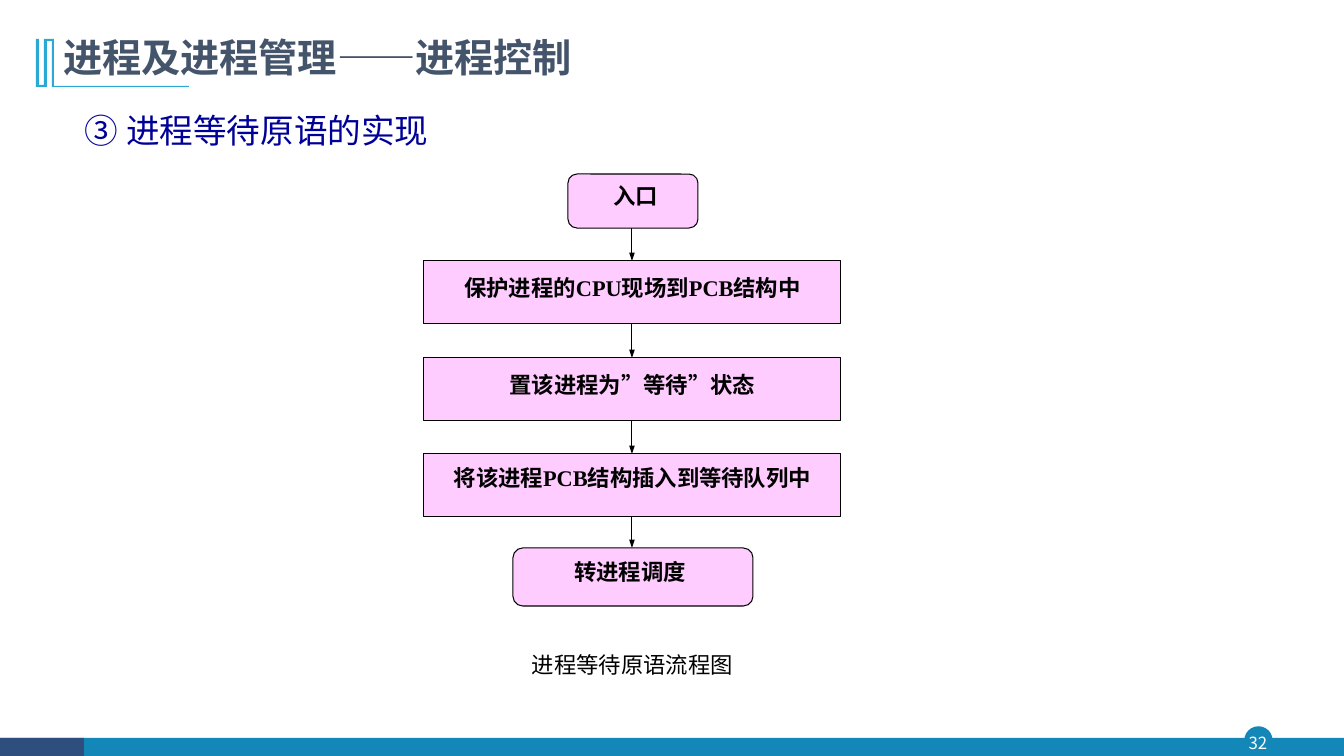
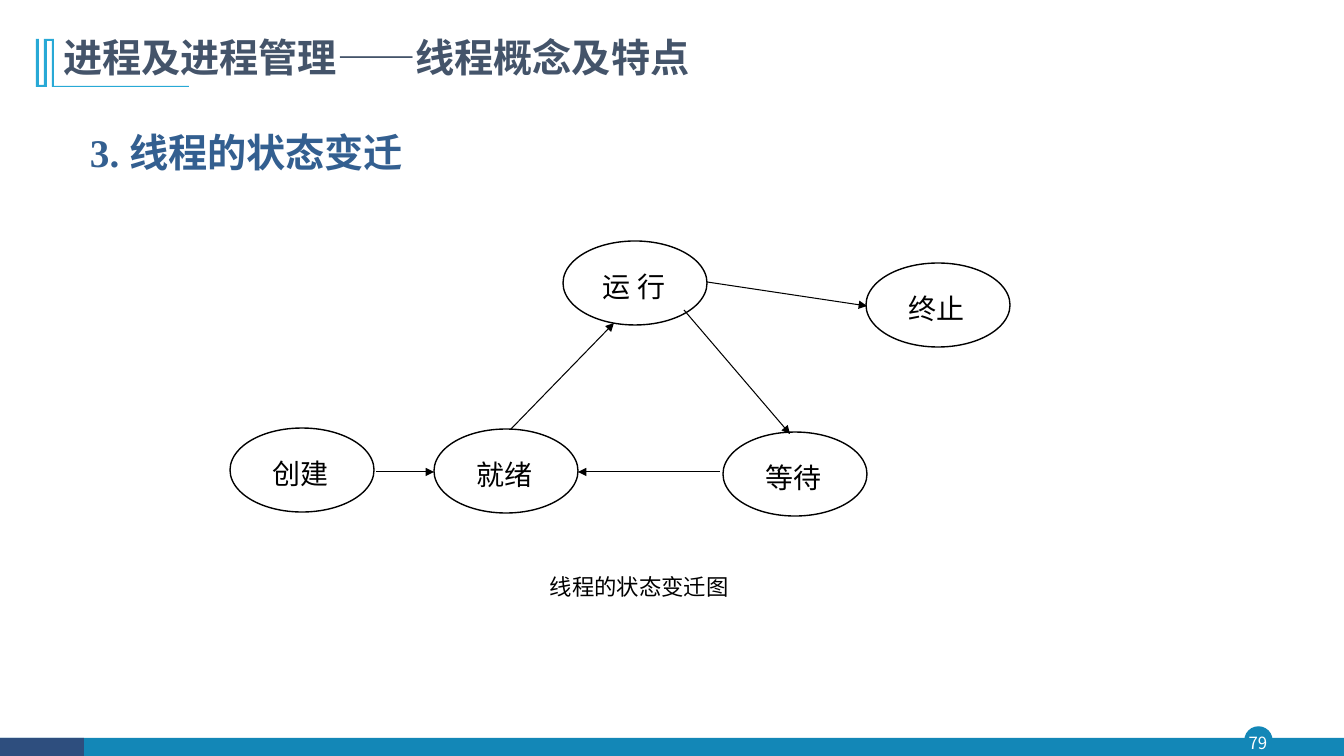
"""Build two lecture slides: a wait-primitive flowchart and a thread state diagram."""
from dataclasses import dataclass
from itertools import pairwise

from lxml.etree import SubElement
from pptx import Presentation
from pptx.dml.color import RGBColor
from pptx.enum.shapes import MSO_CONNECTOR as Connector, MSO_SHAPE as Preset
from pptx.enum.text import MSO_ANCHOR as Anchor, PP_ALIGN as Align
from pptx.oxml.ns import qn
from pptx.shapes.autoshape import Shape
from pptx.slide import Slide
from pptx.text.text import TextFrame
from pptx.util import Emu, Pt

PX = 914400 / 100.8
SLIDE_W, SLIDE_H = 1344, 756
SANS, SERIF = "Noto Sans CJK SC", "Times New Roman"

BLACK = RGBColor(0x00, 0x00, 0x00)
WHITE = RGBColor(0xFF, 0xFF, 0xFF)
TEAL = RGBColor(0x13, 0x87, 0xB7)
NAVY = RGBColor(0x2E, 0x4E, 0x7E)
SKY = RGBColor(0x28, 0xA9, 0xD6)
SLATE = RGBColor(0x44, 0x54, 0x6A)
PINK = RGBColor(0xFF, 0xCC, 0xFF)
DEEP_BLUE = RGBColor(0x00, 0x00, 0x99)
STEEL_BLUE = RGBColor(0x33, 0x5F, 0x90)

TITLE_MARK = [
    (54, 39), (54, 86), (189, 86), (189, 87), (52, 87), (52, 41), (47, 41), (47, 87),
    (36, 87), (36, 39), (39, 39), (39, 85), (44, 85), (44, 39),
]


@dataclass(frozen=True)
class Box:
    left: int
    top: int
    width: int
    height: int

    def emu(self) -> tuple[Emu, Emu, Emu, Emu]:
        return px(self.left), px(self.top), px(self.width), px(self.height)


@dataclass(frozen=True)
class Style:
    size: int
    color: RGBColor = BLACK
    bold: bool = False
    font: str = SERIF
    align: Align = Align.LEFT
    spacing: float = 1.0
    anchor: Anchor = Anchor.TOP


@dataclass(frozen=True)
class Step:
    text: str
    box: Box
    spacing: float
    preset: Preset = Preset.RECTANGLE
    text_top: int = 5
    shift: int = 0


@dataclass(frozen=True)
class State:
    text: str
    left: int
    top: int


@dataclass(frozen=True)
class Arrow:
    x1: int
    y1: int
    x2: int
    y2: int


FLOW_CENTER = 632
STEP_LEFT, STEP_W, STEP_H = 424, 417, 63
STEPS = [
    Step("入口", Box(568, 174, 130, 54), 1.0, Preset.ROUNDED_RECTANGLE, shift=3),
    Step("保护进程的CPU现场到PCB结构中", Box(STEP_LEFT, 261, STEP_W, STEP_H), 1.3),
    Step("置该进程为”等待”状态", Box(STEP_LEFT, 358, STEP_W, STEP_H), 1.3),
    Step("将该进程PCB结构插入到等待队列中", Box(STEP_LEFT, 454, STEP_W, STEP_H), 1.2),
    Step("转进程调度", Box(513, 548, 240, 58), 1.2, Preset.ROUNDED_RECTANGLE, 2, -3),
]

STATE_W, STATE_H = 144, 84
STATES = [
    State("运 行", 563, 241),
    State("终止", 866, 263),
    State("创建", 230, 428),
    State("就绪", 434, 429),
    State("等待", 723, 432),
]
TRANSITIONS = [
    Arrow(376, 472, 434, 472),
    Arrow(511, 429, 614, 323),
    Arrow(684, 310, 790, 434),
    Arrow(720, 472, 578, 472),
    Arrow(707, 282, 867, 306),
]

TITLE = Style(28, SLATE, True, SANS, spacing=0.9)
PAGE_NUMBER = Style(12, WHITE, font=SANS, align=Align.CENTER, anchor=Anchor.MIDDLE)
CAPTION = Style(16, align=Align.JUSTIFY, spacing=1.2)
STATE_LABEL = Style(20, align=Align.CENTER, anchor=Anchor.MIDDLE)


def px(length: int) -> Emu:
    return Emu(round(length * PX))


def write(frame: TextFrame, text: str, style: Style,
          margins: tuple[int, int, int, int] = (10, 5, 10, 5)) -> None:
    frame.word_wrap = True
    frame.vertical_anchor = style.anchor
    frame.margin_left, frame.margin_top, frame.margin_right, frame.margin_bottom = map(px, margins)
    frame.text = text
    para = frame.paragraphs[0]
    para.alignment = style.align
    para.line_spacing = style.spacing
    for span in para.runs:
        font = span.font
        font.size, font.bold, font.name = Pt(style.size), style.bold, style.font
        font.color.rgb = style.color
        SubElement(font._element, qn("a:ea")).set("typeface", SANS)


def add_text(page: Slide, box: Box, text: str, style: Style,
             margins: tuple[int, int, int, int] = (10, 5, 10, 5)) -> None:
    write(page.shapes.add_textbox(*box.emu()).text_frame, text, style, margins)


def paint(shape: Shape, fill: RGBColor, line: RGBColor | None = None, width: float = 1) -> None:
    shape.shadow.inherit = False
    shape.fill.solid()
    shape.fill.fore_color.rgb = fill
    if line is None:
        shape.line.fill.background()
    else:
        shape.line.color.rgb = line
        shape.line.width = Pt(width)


def add_preset(page: Slide, preset: Preset, box: Box, fill: RGBColor,
               line: RGBColor | None = None, width: float = 1) -> Shape:
    shape = page.shapes.add_shape(preset, *box.emu())
    paint(shape, fill, line, width)
    return shape


def add_arrow(page: Slide, arrow: Arrow, head_width: str = "med") -> None:
    ends = map(px, (arrow.x1, arrow.y1, arrow.x2, arrow.y2))
    connector = page.shapes.add_connector(Connector.STRAIGHT, *ends)
    connector.line.color.rgb = BLACK
    connector.line.width = Pt(0.75)
    properties = connector._element.spPr
    head = SubElement(properties.find(qn("a:ln")), qn("a:tailEnd"))
    for name, value in (("type", "triangle"), ("w", head_width), ("len", "med")):
        head.set(name, value)
    SubElement(properties, qn("a:effectLst"))


def add_page(deck: Presentation, title: str, number: int) -> Slide:
    page = deck.slides.add_slide(deck.slide_layouts[6])
    add_preset(page, Preset.OVAL, Box(1245, 727, 27, 27), TEAL, TEAL)
    add_preset(page, Preset.RECTANGLE, Box(0, 738, SLIDE_W, 18), TEAL)
    add_preset(page, Preset.RECTANGLE, Box(0, 738, 84, 18), NAVY)
    add_text(page, Box(1242, 727, 32, 31), str(number), PAGE_NUMBER, (0, 0, 0, 0))
    outline = page.shapes.build_freeform(*TITLE_MARK[0], scale=PX)
    outline.add_line_segments(TITLE_MARK[1:], close=True)
    paint(outline.convert_to_shape(), SKY)
    add_text(page, Box(53, 34, 1057, 56), title, TITLE)
    return page


def add_flowchart(page: Slide) -> None:
    for step in STEPS:
        shape = add_preset(page, step.preset, step.box, PINK, BLACK, 0.75)
        style = Style(16, bold=True, align=Align.CENTER, spacing=step.spacing)
        margins = (10 + step.shift, step.text_top, 10 - step.shift, 5)
        write(shape.text_frame, step.text, style, margins)
    for upper, lower in pairwise(step.box for step in STEPS):
        arrow = Arrow(FLOW_CENTER, upper.top + upper.height, FLOW_CENTER, lower.top)
        add_arrow(page, arrow, "sm")


def add_state_diagram(page: Slide) -> None:
    for state in STATES:
        box = Box(state.left, state.top, STATE_W, STATE_H)
        shape = add_preset(page, Preset.OVAL, box, WHITE, BLACK)
        write(shape.text_frame, state.text, STATE_LABEL, (0, 6, 2, 0))
    for arrow in TRANSITIONS:
        add_arrow(page, arrow)


def main() -> None:
    deck = Presentation()
    deck.slide_width, deck.slide_height = px(SLIDE_W), px(SLIDE_H)

    page = add_page(deck, "进程及进程管理——进程控制", 32)
    add_text(page, Box(75, 97, 427, 58), "③ 进程等待原语的实现",
             Style(24, DEEP_BLUE, spacing=1.2))
    add_flowchart(page)
    add_text(page, Box(522, 641, 237, 42), "进程等待原语流程图", CAPTION)

    page = add_page(deck, "进程及进程管理——线程概念及特点", 79)
    add_state_diagram(page)
    add_text(page, Box(80, 114, 437, 62), "3. 线程的状态变迁",
             Style(28, STEEL_BLUE, True, spacing=1.2))
    add_text(page, Box(540, 563, 209, 42), "线程的状态变迁图", CAPTION)

    deck.save("out.pptx")


if __name__ == "__main__":
    main()
